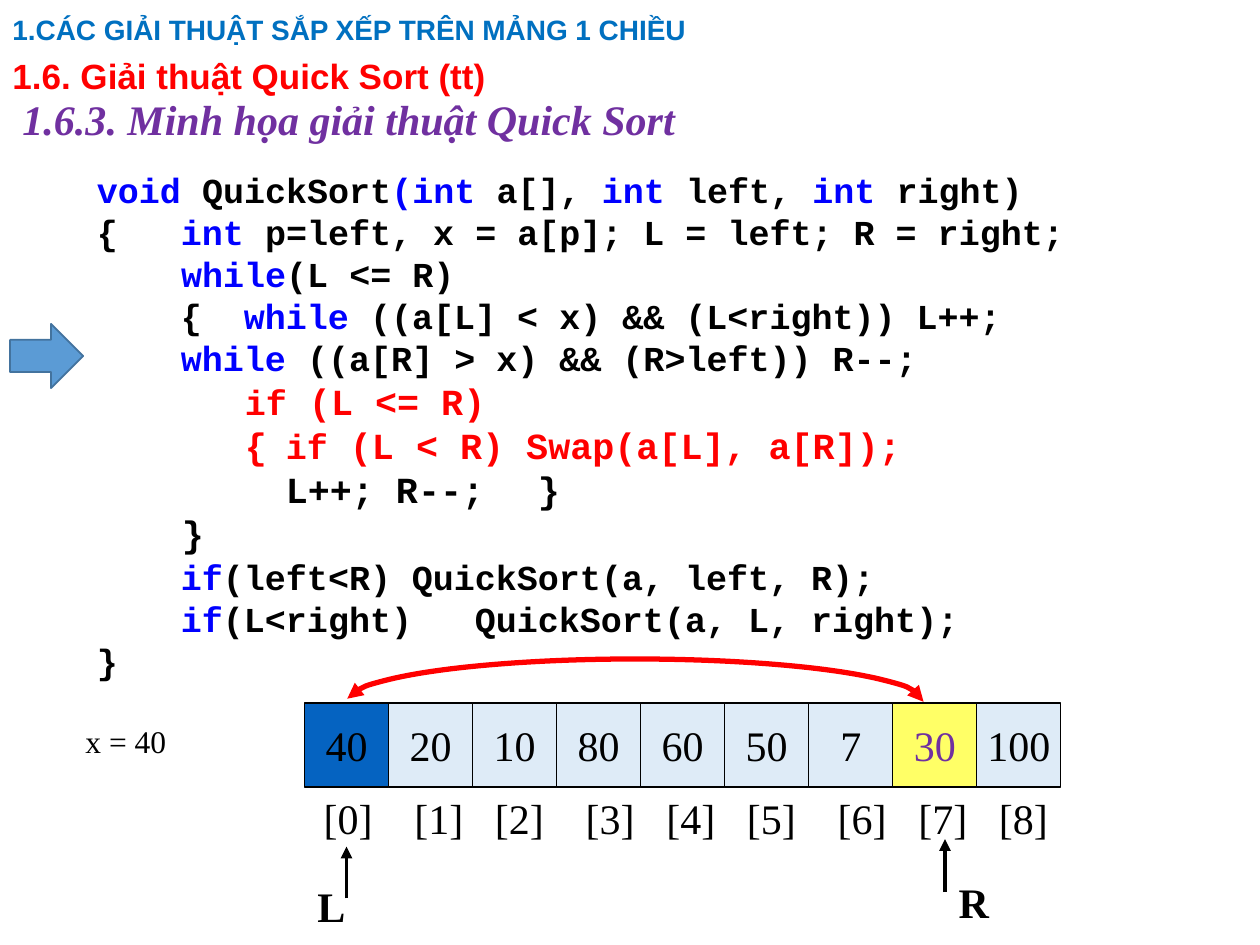
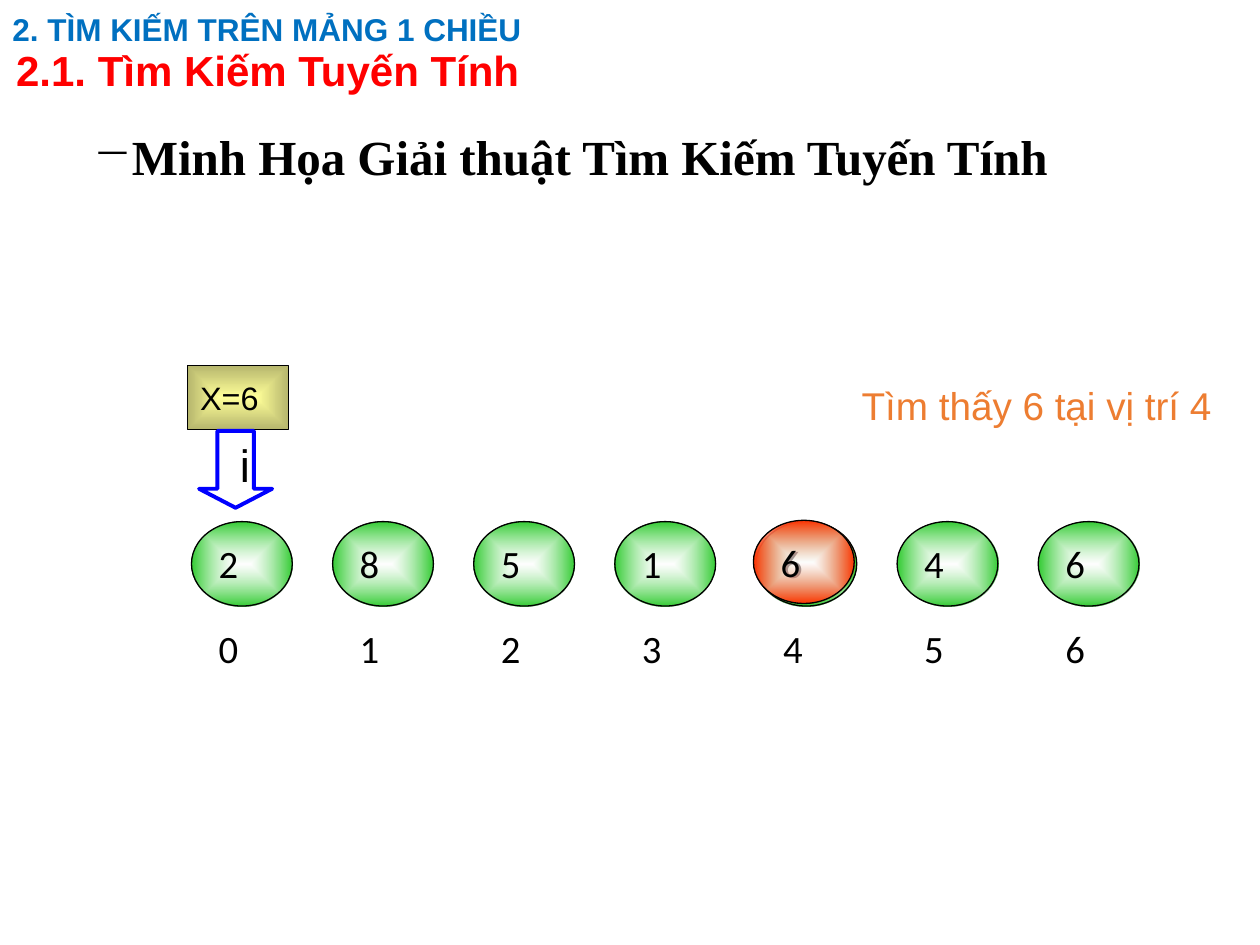
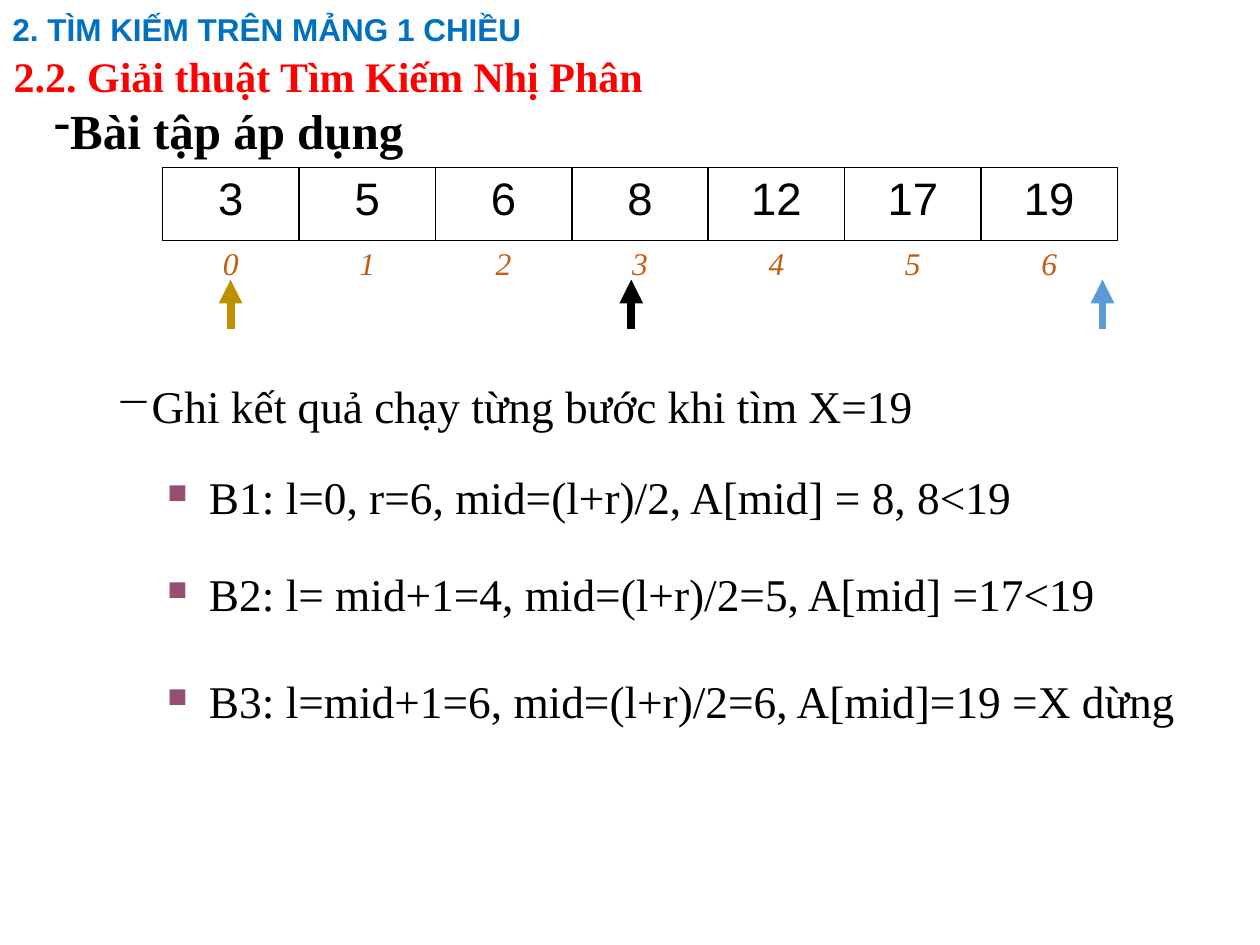
from itertools import accumulate

from lxml.etree import SubElement
from pptx import Presentation
from pptx.dml.color import RGBColor
from pptx.enum.shapes import MSO_CONNECTOR, MSO_SHAPE
from pptx.enum.text import MSO_ANCHOR, PP_ALIGN
from pptx.oxml import parse_xml
from pptx.oxml.ns import nsdecls, qn
from pptx.util import Inches, Pt

BLACK = RGBColor(0x00, 0x00, 0x00)
WHITE = RGBColor(0xFF, 0xFF, 0xFF)
RED = RGBColor(0xFF, 0x00, 0x00)
BLUE = RGBColor(0x00, 0x00, 0xFF)
CHAPTER_BLUE = RGBColor(0x00, 0x70, 0xC0)
PURPLE = RGBColor(0x70, 0x30, 0xA0)
PLUM = RGBColor(0x95, 0x4F, 0x72)
PIVOT_BLUE = RGBColor(0x05, 0x63, 0xC1)
PALE_BLUE = RGBColor(0xDE, 0xEB, 0xF7)
YELLOW = RGBColor(0xFF, 0xFF, 0x66)
SKY = RGBColor(0x5B, 0x9B, 0xD5)
STEEL = RGBColor(0x43, 0x73, 0x9E)
ORANGE = RGBColor(0xED, 0x7D, 0x31)
RUST = RGBColor(0xC5, 0x5A, 0x11)
GOLD = RGBColor(0xBF, 0x90, 0x00)
GREEN = RGBColor(0x33, 0xCC, 0x33)
SCARLET = RGBColor(0xFF, 0x33, 0x00)
CREAM = RGBColor(0xFF, 0xFF, 0x99)
OLIVE = RGBColor(0xB6, 0xB6, 0x6D)

SANS, SERIF, MONO, LABEL = "Arial", "Times New Roman", "Courier New", "Calibri"
COLUMNS, ROWS = 100, 75
SEARCH_CHAPTER = "2. TÌM KIẾM TRÊN MẢNG 1 CHIỀU"


class Deck:
    """Holds the presentation, its grid and the slide being filled."""

    def __init__(self):
        self.prs = Presentation()
        self.prs.slide_width, self.prs.slide_height = Inches(10), Inches(7.5)
        self.column = self.prs.slide_width / COLUMNS
        self.row = self.prs.slide_height / ROWS

    def new_slide(self):
        self.slide = self.prs.slides.add_slide(self.prs.slide_layouts[6])

    def box(self, left, top, width, height):
        return (int(left * self.column), int(top * self.row),
                int(width * self.column), int(height * self.row))

    def style(self, run, size, font, color, bold=False, italic=False):
        run.font.size, run.font.name = Pt(size), font
        run.font.color.rgb = color
        run.font.bold, run.font.italic = bold, italic

    def fill_text(self, frame, text, size, font=SERIF, color=BLACK, bold=False, italic=False,
                  align=PP_ALIGN.LEFT, anchor=MSO_ANCHOR.TOP, wrap=True, spacing=None):
        frame.word_wrap, frame.vertical_anchor = wrap, anchor
        frame.text = text
        paragraph = frame.paragraphs[0]
        paragraph.alignment = align
        if spacing:
            paragraph.line_spacing = spacing
        self.style(paragraph.runs[0], size, font, color, bold, italic)
        return paragraph

    def text(self, place, text, size, **look):
        frame = self.slide.shapes.add_textbox(*self.box(*place)).text_frame
        return self.fill_text(frame, text, size, **look)

    def heading(self, place, text, size, color, font=SANS, italic=False):
        self.text(place, text, size, font=font, color=color, bold=True, italic=italic,
                  anchor=MSO_ANCHOR.MIDDLE, spacing=0.9)

    def indent(self, paragraph, margin, first):
        props = paragraph._p.get_or_add_pPr()
        props.set("marL", str(Inches(margin)))
        props.set("indent", str(Inches(first)))
        return props

    def bullet(self, paragraph, char, margin, first, color=None, percent=None):
        props = self.indent(paragraph, margin, first)
        if color is not None:
            SubElement(SubElement(props, qn("a:buClr")), qn("a:srgbClr")).set("val", str(color))
        if percent:
            SubElement(props, qn("a:buSzPct")).set("val", str(percent * 1000))
        SubElement(props, qn("a:buChar")).set("char", char)

    def tab_stops(self, paragraph, stops):
        tabs = SubElement(paragraph._p.get_or_add_pPr(), qn("a:tabLst"))
        for stop in stops:
            tab = SubElement(tabs, qn("a:tab"))
            tab.set("pos", str(Inches(stop)))
            tab.set("algn", "l")

    def shape(self, kind, place, fill=None, line=None, weight=0.75):
        shape = self.slide.shapes.add_shape(kind, *self.box(*place))
        shape.shadow.inherit = False
        if fill is None:
            shape.fill.background()
        else:
            shape.fill.solid()
            shape.fill.fore_color.rgb = fill
        if line is None:
            shape.line.fill.background()
        else:
            shape.line.color.rgb, shape.line.width = line, Pt(weight)
        return shape

    def glow(self, kind, place, center, edge, alpha=100):
        """An outlined shape whose colour runs from its centre to its edge."""
        shape = self.shape(kind, place, line=BLACK)
        props = shape._element.spPr
        props.replace(props.find(qn("a:noFill")), parse_xml(
            f'<a:gradFill {nsdecls("a")} rotWithShape="1"><a:gsLst>'
            f'<a:gs pos="0"><a:srgbClr val="{center}"><a:alpha val="{alpha * 1000}"/>'
            f'</a:srgbClr></a:gs><a:gs pos="100000"><a:srgbClr val="{edge}"/></a:gs></a:gsLst>'
            '<a:path path="shape"><a:fillToRect l="50000" t="50000" r="50000" b="50000"/>'
            '</a:path></a:gradFill>'))
        return shape

    def ball(self, place, text, edge):
        ball = self.glow(MSO_SHAPE.OVAL, place, WHITE, edge, 60)
        self.fill_text(ball.text_frame, text, 22.1, font=LABEL)

    def arrowheads(self, shape, *ends):
        line = shape._element.spPr.find(qn("a:ln"))
        for end in ends:
            SubElement(line, qn(f"a:{end}")).set("type", "triangle")

    def up_arrow(self, x, bottom, top, color=BLACK, weight=2.25):
        left, start, _, _ = self.box(x, bottom, 0, 0)
        end = self.box(x, top, 0, 0)[1]
        arrow = self.slide.shapes.add_connector(MSO_CONNECTOR.STRAIGHT, left, start, left, end)
        arrow.line.color.rgb, arrow.line.width = color, Pt(weight)
        self.arrowheads(arrow, "tailEnd")
        SubElement(arrow._element.spPr, qn("a:effectLst"))

    def code(self, place, lines, size=20):
        frame = self.shape(MSO_SHAPE.RECTANGLE, place, fill=WHITE).text_frame
        frame.word_wrap, frame.vertical_anchor = True, MSO_ANCHOR.TOP
        for number, (hanging, runs) in enumerate(lines):
            paragraph = frame.paragraphs[0] if number == 0 else frame.add_paragraph()
            paragraph.alignment = PP_ALIGN.LEFT
            if hanging:
                self.indent(paragraph, 0.5, -0.5)
            for text, color, *own_size in runs:
                run = paragraph.add_run()
                run.text = text
                self.style(run, *(own_size or [size]), MONO, color, bold=True)

    def border(self, cell, sides):
        props = cell._tc.get_or_add_tcPr()
        for side in "LRTB":
            edge = SubElement(props, qn(f"a:ln{side}"))
            if side in sides:
                edge.set("w", str(Pt(1)))
                fill = SubElement(edge, qn("a:solidFill"))
                SubElement(fill, qn("a:srgbClr")).set("val", str(BLACK))
            else:
                SubElement(edge, qn("a:noFill"))

    def array_table(self, place, heights, values):
        """Boxed values with their unboxed indices below."""
        table = self.slide.shapes.add_table(2, len(values), *self.box(*place)).table
        table.first_row = table.horz_banding = False
        for row, height in zip(table.rows, heights):
            row.height = int(height * self.row)
        looks = (dict(size=26, font=SANS), dict(size=18, color=RUST, italic=True))
        for column, value in enumerate(values):
            for row, (text, sides) in enumerate(((value, "LRTB"), (column, "T"))):
                cell = table.cell(row, column)
                self.border(cell, sides)
                cell.fill.background()
                self.fill_text(cell.text_frame, str(text), align=PP_ALIGN.CENTER, **looks[row])


def quick_sort(deck):
    deck.new_slide()

    # Array cells, indices and pivot
    side = 6.67
    special = {0: (PIVOT_BLUE, BLACK), 7: (YELLOW, PURPLE)}
    for i, value in enumerate((40, 20, 10, 80, 60, 50, 7, 30, 100)):
        fill, color = special.get(i, (PALE_BLUE, BLACK))
        cell = deck.shape(MSO_SHAPE.RECTANGLE, (24.17 + i * side, 55.8, side, side), fill, BLACK)
        deck.fill_text(cell.text_frame, str(value), 24, color=color, wrap=False,
                       align=PP_ALIGN.CENTER, anchor=MSO_ANCHOR.MIDDLE)
    deck.text((5.8, 56.8, 8.5, 4), "x = 40", 18, wrap=False)
    indices = deck.text((24.7, 62.4, 61, 5), "\t".join(f"[{i}]" for i in range(9)), 24)
    deck.tab_stops(indices, accumulate((0.72, 0.64, 0.72, 0.64, 0.64, 0.72, 0.64, 0.64)))

    # Left and right markers
    deck.text((24.2, 69.4, 5, 5.1), "L", 24, bold=True)
    deck.text((75.1, 69.1, 5.7, 5.1), "R", 24, bold=True)
    deck.up_arrow(75, 70.8, 66.6)
    deck.up_arrow(27.5, 71.3, 67.2)

    # Headings
    deck.heading((0, 3.2, 92.9, 6), "1.6. Giải thuật Quick Sort (tt)", 20, RED)
    deck.heading((0, 0, 92.9, 5), "1.CÁC GIẢI THUẬT SẮP XẾP TRÊN MẢNG 1 CHIỀU", 16, CHAPTER_BLUE)
    deck.heading((0.8, 6.7, 92.9, 6), "1.6.3. Minh họa giải thuật Quick Sort", 24, PURPLE,
                 font=SERIF, italic=True)

    # Code and the step pointer
    deck.shape(MSO_SHAPE.RIGHT_ARROW, (0.8, 25.7, 5.8, 5.1), SKY, STEEL, 1)
    deck.code((6.7, 12.9, 91.2, 42.1), (
        (True, (("void ", BLUE), ("QuickSort", BLACK), ("(int", BLUE), (" a[], ", BLACK),
                ("int", BLUE), (" left, ", BLACK), ("int", BLUE), (" right)", BLACK))),
        (True, (("{\t", BLACK), (" int ", BLUE),
                ("p=left, x = a[p]; L = left; R = right;", BLACK))),
        (True, (("    ", BLACK), ("while", BLUE), ("(L <= R)", BLACK))),
        (False, (("    {\t ", BLACK), ("while ", BLUE),
                 ("((a[L] < x) && (L<right)) L++;", BLACK))),
        (False, (("\t while ", BLUE), ("((a[R] > x) && (R>left)) R--;", BLACK))),
        (True, (("\t\t ", BLACK, 21), ("if", RED), (" (L <= R)", RED, 21))),
        (True, (("\t\t {\t", RED, 21), ("if", RED), (" (L < R) Swap(a[L], a[R]);", RED, 21))),
        (True, (("\t\t \tL++; R--;\t}", BLACK, 21),)),
        (True, (("\t }", BLACK, 21),)),
        (True, (("\t ", BLACK), ("if", BLUE), ("(left<R)\tQuickSort(a, left, R);", BLACK))),
        (True, (("\t ", RED), ("if", BLUE), ("(L<right)\tQuickSort(a, L, right);", BLACK))),
        (True, (("}", BLACK),)),
    ))

    # Swap arc
    swap = deck.shape(MSO_SHAPE.ARC, (27.5, 52.3, 45.8, 6.8), line=RED, weight=3)
    swap.adjustments[0], swap.adjustments[1] = 108.37, 0
    deck.arrowheads(swap, "headEnd", "tailEnd")


def linear_search(deck):
    deck.new_slide()
    topic = deck.text((6.4, 8.3, 92.9, 7.7), "Minh Họa Giải thuật Tìm Kiếm Tuyến Tính", 28,
                      bold=True, align=PP_ALIGN.JUSTIFY, anchor=MSO_ANCHOR.MIDDLE, spacing=1.1)
    deck.bullet(topic, "−", 0.19, -0.3)

    # Values above their indices
    for i, value in enumerate((2, 8, 5, 1, 6, 4, 6)):
        left = 15.2 + i * 11.2
        index = deck.shape(MSO_SHAPE.OVAL, (left, 48.1, 8, 6.7))
        deck.fill_text(index.text_frame, str(i), 22.1, font=LABEL)
        deck.ball((left, 41.4, 8, 6.7), str(value), GREEN)

    # Sought value and moving pointer
    sought = deck.glow(MSO_SHAPE.RECTANGLE, (14.9, 29, 8, 5.1), CREAM, OLIVE)
    deck.fill_text(sought.text_frame, "X=6", 18.5, font=SANS, anchor=MSO_ANCHOR.MIDDLE,
                   wrap=False)
    pointer = deck.shape(MSO_SHAPE.DOWN_ARROW, (15.8, 34.2, 5.8, 6.1), line=BLUE, weight=2.25)
    pointer.adjustments[1] = 0.26
    pointer.text_frame.margin_left = Inches(0.18)
    deck.fill_text(pointer.text_frame, "i", 25.9, font=SANS)

    # Match
    deck.ball((59.8, 41.3, 8, 6.6), "6", SCARLET)
    deck.text((67.4, 29.8, 32.2, 4.7), "Tìm thấy 6 tại vị trí 4", 22.1, font=SANS, color=ORANGE)

    # Headings
    deck.heading((0, 0, 98.3, 5), SEARCH_CHAPTER, 18, CHAPTER_BLUE)
    deck.heading((0.3, 3.3, 92.9, 5), "2.1. Tìm Kiếm Tuyến Tính", 24, RED)


def binary_search(deck):
    deck.new_slide()
    topic = deck.text((3.3, 7.3, 86.2, 6), "Bài tập áp dụng", 28, bold=True,
                      anchor=MSO_ANCHOR.MIDDLE)
    deck.bullet(topic, "-", 0.07, -0.3)

    # Task and its steps
    task = deck.text((8.2, 29.5, 90, 5.4), "Ghi kết quả chạy từng bước khi tìm X=19", 25.9,
                     align=PP_ALIGN.JUSTIFY)
    deck.bullet(task, "−", 0.19, -0.3)
    steps = ((37.2, " B1: l=0, r=6, mid=(l+r)/2, A[mid] = 8, 8<19"),
             (44.9, " B2: l= mid+1=4, mid=(l+r)/2=5, A[mid] =17<19"),
             (53.4, " B3: l=mid+1=6, mid=(l+r)/2=6, A[mid]=19 =X dừng"))
    for top, wording in steps:
        step = deck.text((12.3, top, 87.5, 4.9), wording, 25.9, spacing=0.9)
        deck.bullet(step, "■", 0.24, -0.24, PLUM, 60)

    # Headings
    deck.heading((0, 0, 98.3, 5), SEARCH_CHAPTER, 18, CHAPTER_BLUE)
    deck.heading((0.1, 3.3, 92.9, 6), "2.2. Giải thuật Tìm Kiếm Nhị Phân", 24, RED, font=SERIF)

    # Array with left, middle and right pointers
    deck.array_table((12.9, 13.3, 75.8, 9.7), (5.8, 3.9), (3, 5, 6, 8, 12, 17, 19))
    for x, color in ((18.3, GOLD), (50.1, BLACK), (87.5, SKY)):
        deck.up_arrow(x, 26.1, 22.2, color, 4.5)


def main():
    deck = Deck()
    quick_sort(deck)
    linear_search(deck)
    binary_search(deck)
    deck.prs.save("out.pptx")


if __name__ == "__main__":
    main()
